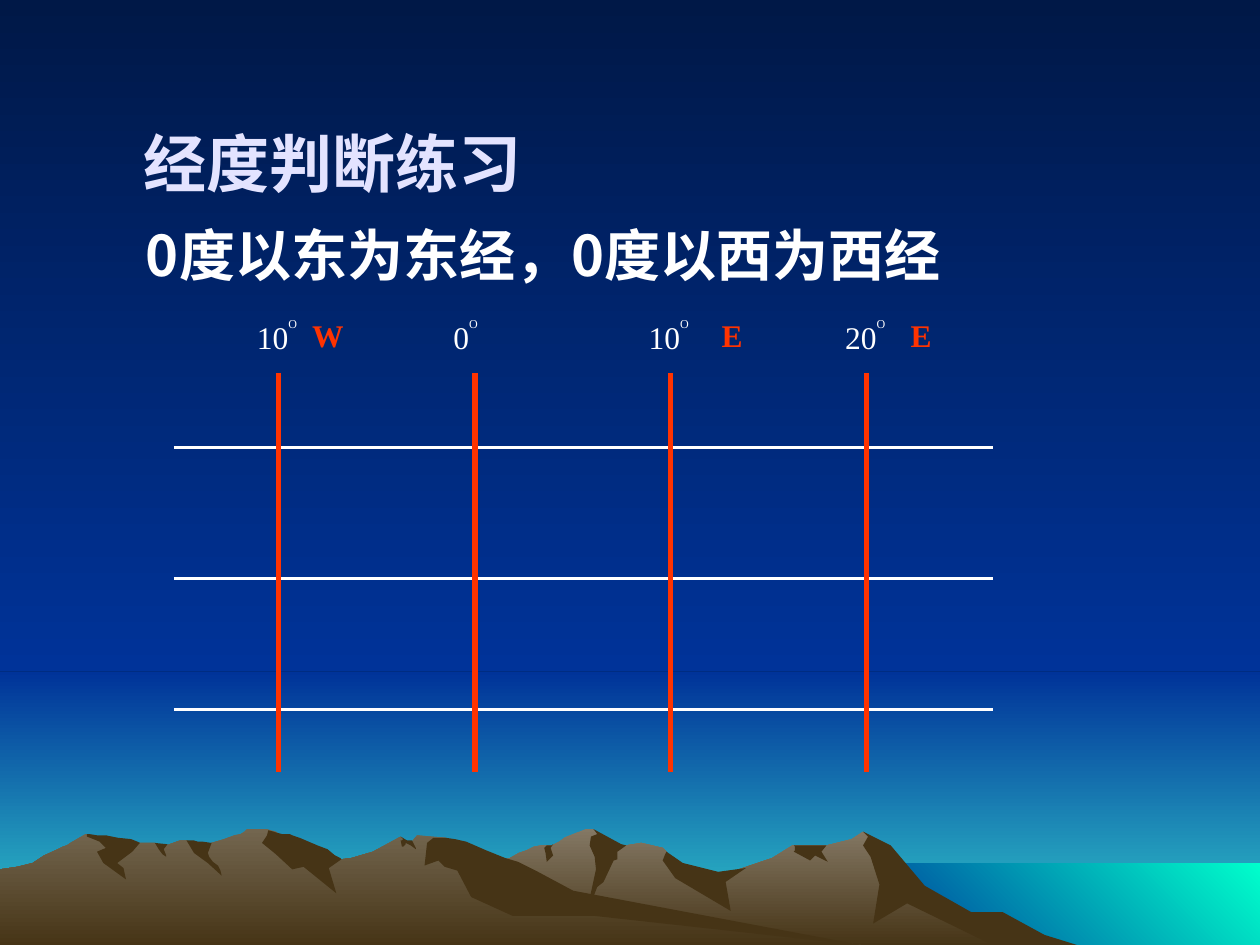
from lxml import etree
from pptx import Presentation
from pptx import util as u
from pptx.dml.color import RGBColor
from pptx.enum import shapes, text
from pptx.oxml.ns import qn

PX = u.Inches(1) // 100  # EMU in one px

COLOURS = {
    "night": "001847",
    "deep blue": "003399",
    "turquoise": "33CCCC",
    "sea green": "00FFCC",
    "right rock": "847864",
    "left rock": "73664F",
    "shade": "463416",
    "white": "FFFFFF",
    "lavender": "E3E3FF",
    "red": "FF3300",
}
CJK, LATIN = "Noto Sans CJK SC", "Times New Roman"

# Mountain outlines: x, y pairs in px
RIGHT_RANGE = """802,740 778,727 764,723 723,698 702,671 685,660 676,666 656,671
    629,671 613,681 566,697 536,690 529,676 526,673 509,669 497,671 486,673 474,661
    471,658 465,658 450,664 448,665 444,668 438,671 430,671 424,672 418,675 412,677
    405,681 399,683 394,685 355,698 327,709 277,739 258,751 821,751"""
RIGHT_SHADOWS = [
    """796,724 771,724 734,703 707,671 685,660 689,664 685,671 691,680 698,702 693,733
    720,717 792,752 858,751 829,742""",
    """471,658 474,662 469,664 468,671 472,680 473,690 465,727 474,704 479,700 487,683
    490,682 490,676 497,671 493,670""",
    "529,676 528,678 526,683 536,697 580,723 576,700 592,689 570,692 542,685",
    """650,671 630,671 631,672 631,675 630,676 643,683 647,679 657,684 652,676
    656,671""",
    "433,677 432,673 434,671 438,671 439,670 437,673 439,679 434,684",
]
LEFT_RANGE = """690,751 667,748 432,712 354,665 331,663 327,668 323,668 318,664 296,676
    279,681 271,682 260,676 236,681 223,663 219,660 215,659 212,658 196,658 194,660
    191,662 186,663 178,666 168,669 160,671 148,667 143,667 132,671 128,671 123,669
    111,669 94,671 68,662 56,669 53,671 50,672 46,674 35,679 26,685 14,688 0,690
    0,751"""
LEFT_SHADOWS = [
    """212,663 208,669 219,678 232,690 241,688 267,709 261,689 271,682 270,681 266,679
    260,674 252,671 245,668 238,665 232,663 230,662 224,662 220,661 217,660 213,659""",
    """370,668 361,666 354,665 344,665 339,669 337,687 348,683 353,688 363,691 374,712
    407,727 472,727 690,751 683,750 455,707 427,692 411,684 401,681 386,675""",
    """318,667 319,667 320,666 318,664 323,667 327,667 330,673 330,674 326,671 322,669
    322,670 320,672 319,672""",
    """154,667 157,668 161,668 168,669 165,677 166,680 169,684 173,687 175,691 176,695
    165,685 154,677 148,667""",
    "133,670 130,674 132,679 132,680 129,678 126,674 123,669",
    """109,668 111,669 105,676 93,685 98,689 100,698 82,685 77,676 84,673 79,668 69,664
    69,662 71,662 77,663 84,663 94,665 104,666""",
]


def rgb(colour):
    return RGBColor.from_string(COLOURS[colour])


def paint(fill, colours, angle=270):
    """Fill with one colour, or with a gradient between two."""
    if len(colours) == 1:
        fill.solid()
        fill.fore_color.rgb = rgb(colours[0])
        return
    fill.gradient()
    fill.gradient_angle = angle
    for stop, colour in zip(fill.gradient_stops, colours):
        stop.color.rgb = rgb(colour)


class Painter:
    def __init__(self, slide):
        self.slide = slide
        self.shapes = slide.shapes

    def finish(self, shape, colours, angle=270):
        paint(shape.fill, colours, angle)
        shape.line.fill.background()
        shape.shadow.inherit = False

    def band(self, left, top, width, height, colours, angle=270):
        box = [n * PX for n in (left, top, width, height)]
        band = self.shapes.add_shape(shapes.MSO_SHAPE.RECTANGLE, *box)
        self.finish(band, colours, angle)

    def mountain(self, outline, *colours):
        points = [tuple(map(int, pair.split(","))) for pair in outline.split()]
        builder = self.shapes.build_freeform(*points[0], scale=PX)
        builder.add_line_segments(points[1:], close=True)
        self.finish(builder.convert_to_shape(), colours)

    def line(self, start, end, colour, weight):
        ends = [n * PX for n in (*start, *end)]
        line = self.shapes.add_connector(shapes.MSO_CONNECTOR.STRAIGHT, *ends)
        line.line.color.rgb = rgb(colour)
        line.line.width = u.Pt(weight)
        etree.SubElement(line._element.spPr, qn("a:effectLst"))

    def words(self, left, top, width, height, content, size, colour, font=LATIN,
              bold=False, wrap=True):
        box = self.shapes.add_textbox(*[n * PX for n in (left, top, width, height)])
        frame = box.text_frame
        frame.word_wrap = wrap
        frame.text = content
        self.style(frame.paragraphs[0].runs[0], size, colour, font, bold)
        return frame

    def style(self, run, size, colour, font, bold=False):
        run.font.size = u.Pt(size)
        run.font.color.rgb = rgb(colour)
        run.font.bold = bold
        run.font.name = font
        east_asian = etree.SubElement(run.font._element, qn("a:ea"))
        east_asian.set("typeface", font)

    def degrees(self, left, top, number):
        """Write a number with a raised O as its degree sign."""
        frame = self.words(left, top, 77, 50, number, 18, "white")
        sign = frame.paragraphs[0].add_run()
        sign.text = "O"
        self.style(sign, 12, "white", LATIN)
        sign.font._element.set("baseline", "100000")


def draw_landscape(painter):
    paint(painter.slide.background.fill, ["night", "deep blue"])
    painter.band(0, 533, 1000, 217, ["deep blue", "turquoise"])
    painter.band(0, 0, 1000, 533, ["night", "deep blue"])
    painter.band(683, 685, 317, 67, ["deep blue", "sea green"], angle=45)
    for outline, rock, shadows in [(RIGHT_RANGE, "right rock", RIGHT_SHADOWS),
                                   (LEFT_RANGE, "left rock", LEFT_SHADOWS)]:
        painter.mountain(outline, rock, "shade")
        for shadow in shadows:
            painter.mountain(shadow, "shade")


def draw_exercise(painter):
    title = painter.words(114, 99, 300, 50, "经度判断练习", 36, "lavender", CJK, True, False)
    title.margin_left = title.margin_right = title.margin_top = title.margin_bottom = 0
    title.paragraphs[0].alignment = text.PP_ALIGN.CENTER

    for row in range(3):
        latitude = 355 + 104 * row
        painter.line((138, latitude), (788, latitude), "white", 1.5)

    rule = painter.words(106, 179, 651, 64, "0度以东为东经，0度以西为西经", 32, "white", CJK, True)
    rule.paragraphs[0].line_spacing = 0.83

    # Number, hemisphere and the hemisphere's distance from its meridian
    meridians = [("10", "W", 17), ("0", "", 0), ("10", "E", 31), ("20", "E", 25)]
    for column, (number, hemisphere, offset) in enumerate(meridians):
        longitude = round(221 + 155.6 * column)
        painter.degrees(longitude - 27, 246, number)
        if hemisphere:
            painter.words(longitude + offset, 246, 50, 50, hemisphere, 18, "red",
                          bold=True, wrap=False)
        painter.line((longitude, 296), (longitude, 613), "red", 3)


def main():
    deck = Presentation()
    deck.slide_width, deck.slide_height = 1000 * PX, 750 * PX
    painter = Painter(deck.slides.add_slide(deck.slide_layouts[6]))
    draw_landscape(painter)
    draw_exercise(painter)
    deck.save("out.pptx")


if __name__ == "__main__":
    main()
